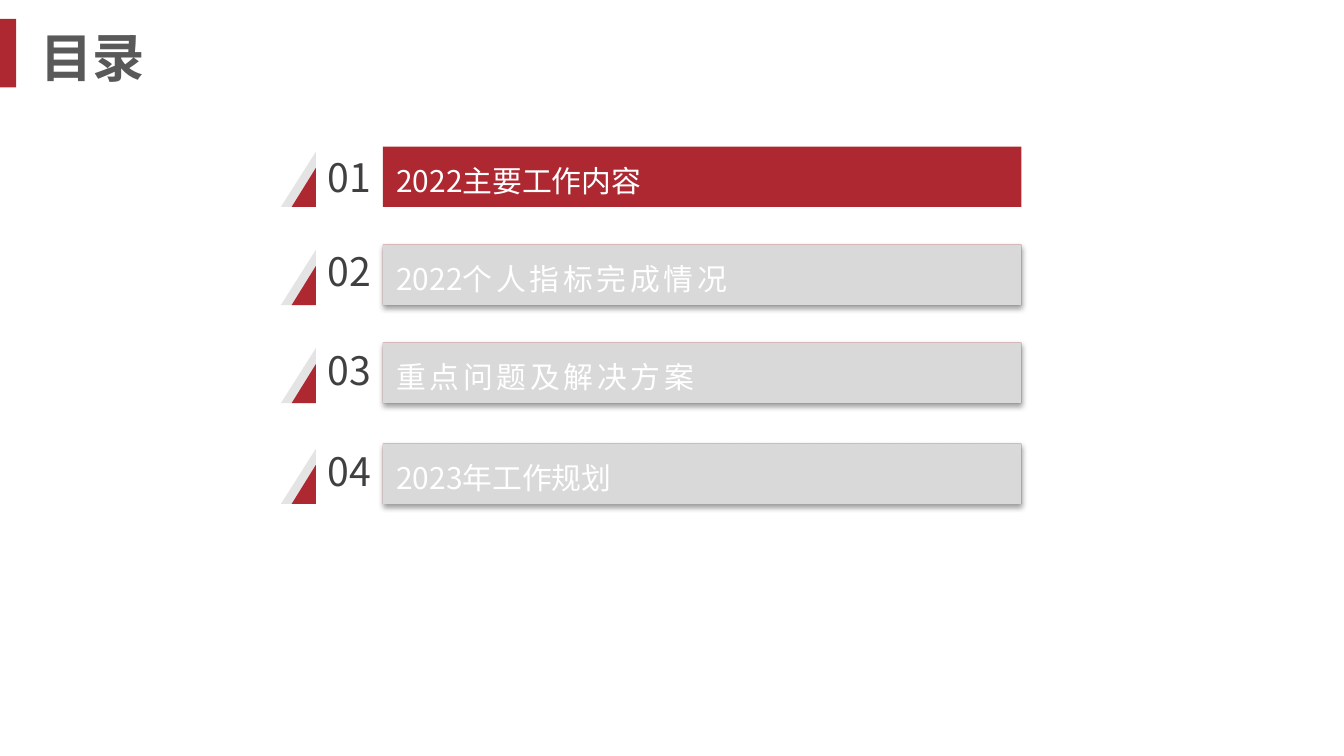
import pptx
import pptx.dml.color
import pptx.enum.shapes
import pptx.enum.text
import pptx.oxml
import pptx.oxml.ns
import pptx.util
from dataclasses import dataclass

Inches, Pt = pptx.util.Inches, pptx.util.Pt
Anchor, Align = pptx.enum.text.MSO_ANCHOR, pptx.enum.text.PP_ALIGN
qn = pptx.oxml.ns.qn


@dataclass(frozen=True)
class Theme:
    font: str = "Noto Sans CJK SC"
    red: str = "AD2830"
    pale: str = "E4E4E4"
    gray: str = "D9D9D9"
    white: str = "FFFFFF"
    dark: str = "404040"
    head: str = "595959"
    big: int = 28
    mid: int = 21
    small: int = 16


theme = Theme()

SHADOW = (
    '<a:effectLst xmlns:a="http://schemas.openxmlformats.org/drawingml/2006/main">'
    f'<a:outerShdw blurRad="{Pt(3.1)}" dist="{Pt(1.6)}" dir="5400000" algn="t" rotWithShape="0">'
    '<a:srgbClr val="000000"><a:alpha val="38000"/></a:srgbClr>'
    "</a:outerShdw></a:effectLst>"
)

# Text, extra letter spacing in points, bar top, number's shift from the bar
ITEMS = [
    ([("2022主要工作内容", 0)], 1.09, 0),
    ([("2022", 0), ("个人指标完成情况", 2)], 1.82, -0.03),
    ([("重点问题及解决方案", 2)], 2.55, -0.02),
    ([("2023年工作规划", 0)], 3.3, -0.02),
]


def color(value):
    return pptx.dml.color.RGBColor.from_string(value)


def place(shape, x, y, w, h):
    box = {"left": x, "top": y, "width": w, "height": h}
    for name, value in box.items():
        setattr(shape, name, Inches(value))


def paint(shape, fill):
    shape.fill.solid()
    shape.fill.fore_color.rgb = color(fill)
    shape.line.fill.background()


def write(shape, runs, size, tint, bold=False, align=Align.LEFT, inset=None, lead=None):
    frame = shape.text_frame
    form = {"word_wrap": True, "vertical_anchor": Anchor.MIDDLE,
            "auto_size": pptx.enum.text.MSO_AUTO_SIZE.NONE}
    if inset is not None:
        for side in ("left", "top", "right", "bottom"):
            form["margin_" + side] = Inches(inset)
    for name, value in form.items():
        setattr(frame, name, value)
    para = frame.paragraphs[0]
    para.alignment = align
    if lead:
        para.line_spacing = lead
    # Plain paragraph: no bullet, no indent
    props = para._p.get_or_add_pPr()
    props.set("marL", "0")
    props.set("indent", "0")
    props.append(pptx.oxml.parse_xml(
        '<a:buNone xmlns:a="http://schemas.openxmlformats.org/drawingml/2006/main"/>'))
    for text, gap in runs:
        run = para.add_run()
        run.text = text
        for name, value in {"size": Pt(size), "bold": bold, "name": theme.font}.items():
            setattr(run.font, name, value)
        run.font.color.rgb = color(tint)
        rpr = run._r.get_or_add_rPr()
        rpr.append(rpr.makeelement(qn("a:ea"), {"typeface": theme.font}))
        if gap:
            rpr.set("spc", str(gap * 100))


def outline(slide, loops, fill):
    path = None
    for loop in loops:
        (x, y), *rest = [(Inches(a), Inches(b)) for a, b in loop]
        if path is None:
            path = slide.shapes.build_freeform(x, y)
        else:
            path.move_to(x, y)
        path.add_line_segments(rest, close=True)
    shape = path.convert_to_shape()
    paint(shape, fill)
    shape.shadow.inherit = False


def header(slide, x, y, w, h):
    mark = slide.shapes.add_shape(pptx.enum.shapes.MSO_SHAPE.RECTANGLE, 0, 0, 0, 0)
    place(mark, x, y, 0.12, h)
    paint(mark, theme.red)
    mark.shadow.inherit = False
    title = slide.shapes.title
    place(title, x + 0.2, y + 0.03, w, h)
    write(title, [("目录", 0)], theme.big, theme.head, bold=True)


def entry(slide, holder, number, runs, shift, x, y, w, h):
    edge, start, end, base = x + 0.26, x + 0.76, x + w, y + h
    # Pale wedge, then red wedge and bar
    outline(slide, [[(edge, y + 0.04), (edge, base), (x, base)]], theme.pale)
    outline(slide, [
        [(edge, y + 0.16), (edge, base), (x + 0.08, base)],
        [(start, y), (end, y), (end, base), (start, base)],
    ], theme.red)
    # Number
    label = slide.shapes.add_textbox(0, 0, 0, 0)
    place(label, edge, y + shift, start - edge, h)
    write(label, [(f"{number:02}", 0)], theme.mid, theme.dark, align=Align.CENTER, inset=0)
    # Wording, above the bar; only the current entry stays red
    place(holder, start, y, end - start, h)
    write(holder, runs, theme.small, theme.white, lead=1.2)
    if number > 1:
        paint(holder, theme.gray)
        holder._element.spPr.append(pptx.oxml.parse_xml(SHADOW))
    slide.shapes._spTree.append(holder._element)


def main():
    deck = pptx.Presentation()
    # Widescreen, 16 to 9
    deck.slide_width = Inches(10)
    deck.slide_height = deck.slide_width * 9 // 16
    # The comparison layout has a title and four bodies
    slide = deck.slides.add_slide(deck.slide_layouts[4])
    header(slide, 0, 0.14, 8.27, 0.51)
    holders = list(slide.placeholders)[1:]
    for number, (holder, item) in enumerate(zip(holders, ITEMS), 1):
        runs, top, shift = item
        entry(slide, holder, number, runs, shift, 2.09, top, 5.51, 0.45)
    deck.save("out.pptx")


if __name__ == "__main__":
    main()
